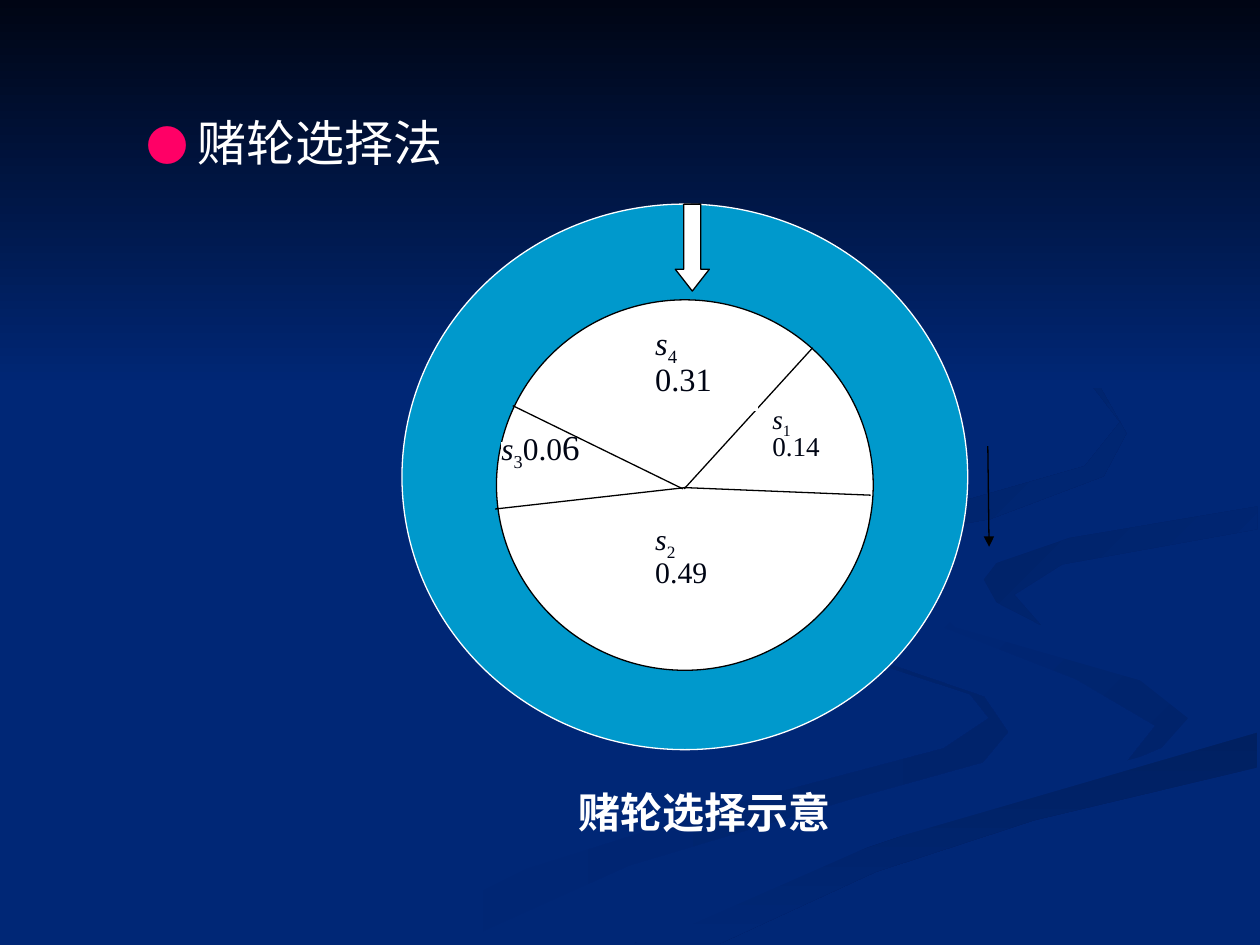
from lxml import etree
from pptx import Presentation
from pptx import util as u
from pptx.dml.color import RGBColor
from pptx.enum import shapes, text
from pptx.oxml import ns

COLORS = {
    "blue": "002776", "night": "000514", "ring": "0099CC", "white": "FFFFFF",
    "black": "000000", "pink": "FF0066", "river": "00236B", "bank": "002061",
    "bend": "002268", "stream": "002164",
}


def add_run(paragraph, content, size, color, font="Times New Roman",
            bold=False, italic=False, baseline=0):
    run = paragraph.add_run()
    run.text = content
    run.font.size = u.Pt(size)
    run.font.name = font
    run.font.bold = bold
    run.font.italic = italic
    run.font.color.rgb = RGBColor.from_string(COLORS[color])
    if baseline:
        run.font._element.set("baseline", str(baseline * 1000))


def paint(part, start, end=None, angle=0, line=None):
    part.shadow.inherit = False
    if end:
        part.fill.gradient()
        part.fill.gradient_angle = -angle % 360
        for stop, color in zip(part.fill.gradient_stops, (start, end)):
            stop.color.rgb = RGBColor.from_string(COLORS[color])
    else:
        part.fill.solid()
        part.fill.fore_color.rgb = RGBColor.from_string(COLORS[start])
    if line:
        part.line.color.rgb = RGBColor.from_string(COLORS[line])
        part.line.width = u.Pt(0.75)
    else:
        part.line.fill.background()


prs = Presentation()
prs.slide_width, prs.slide_height = u.Inches(10), u.Inches(7.5)
slide = prs.slides.add_slide(prs.slide_layouts[5])
slide.background.fill.solid()
slide.background.fill.fore_color.rgb = RGBColor.from_string(COLORS["blue"])

swirls = [
    ("blue", "river", 0, [
        (781, 553), (682, 519), (594, 485), (575, 459), (581, 483), (654, 513),
        (770, 551), (785, 570), (749, 594), (579, 639), (417, 690), (300, 749),
        (361, 749), (499, 687), (676, 634), (780, 605), (800, 581)]),
    ("blue", "river", 45, [
        (943, 570), (905, 540), (758, 498), (724, 464), (739, 494), (854, 539),
        (917, 576), (894, 605), (932, 589)]),
    ("bank", "blue", 90, [
        (503, 749), (571, 749), (695, 692), (821, 651), (998, 609), (998, 581),
        (764, 647), (630, 693)]),
    ("blue", None, 0, [
        (725, 464), (759, 498), (905, 540), (943, 570), (919, 597), (704, 655),
        (477, 749), (519, 747), (696, 669), (999, 581), (999, 538), (817, 492),
        (781, 463), (822, 434), (999, 402), (999, 387), (770, 427)]),
    ("bend", "blue", 45, [
        (781, 460), (791, 478), (826, 496), (805, 472), (843, 448), (998, 420),
        (998, 402), (849, 427), (791, 447)]),
    ("stream", "blue", 45, [
        (683, 430), (786, 412), (876, 378), (894, 344), (864, 291), (762, 233),
        (846, 279), (889, 335), (861, 370), (763, 398), (615, 429), (578, 456),
        (584, 479), (622, 500), (593, 470), (624, 444)]),
]
for start, end, angle, points in swirls:
    outline = slide.shapes.build_freeform(*points[0], scale=u.Inches(0.01))
    outline.add_line_segments(points[1:], close=True)
    paint(outline.convert_to_shape(), start, end, angle)

sky = slide.shapes.add_shape(
    shapes.MSO_SHAPE.RECTANGLE, 0, 0, u.Inches(10), u.Inches(3.08))
paint(sky, "night", "blue", 90)

wheel = [
    (shapes.MSO_SHAPE.OVAL, 3.19, 1.62, 4.49, 4.33, "ring", "white"),
    (shapes.MSO_SHAPE.OVAL, 3.94, 2.38, 2.99, 2.94, "white", "black"),
    (shapes.MSO_SHAPE.DOWN_ARROW, 5.36, 1.62, 0.27, 0.69, "white", "black"),
]
for kind, *box, fill, line in wheel:
    part = slide.shapes.add_shape(kind, *map(u.Inches, box))
    paint(part, fill, line=line)
pointer = part
pointer.adjustments[1] = 0.64

strokes = [
    (5.43, 3.88, 6.45, 2.76, False),
    (5.42, 3.88, 4.07, 3.22, False),
    (5.44, 3.87, 3.93, 4.04, False),
    (5.43, 3.87, 6.91, 3.93, False),
    (7.84, 3.54, 7.85, 4.34, True),
]
for *ends, is_spin in strokes:
    stroke = slide.shapes.add_connector(
        shapes.MSO_CONNECTOR.STRAIGHT, *map(u.Inches, ends))
    stroke.line.color.rgb = RGBColor.from_string(COLORS["black"])
    stroke.line.width = u.Pt(0.75)
    if is_spin:
        etree.SubElement(stroke.line._get_or_add_ln(), ns.qn("a:tailEnd"), type="triangle")
    etree.SubElement(stroke._element.spPr, ns.qn("a:effectLst"))

sectors = [
    (5.2, 2.57, 0.81, 0.69, 18.5, 0.9, "4", [("0.31", 18.5)]),
    (5.2, 4.14, 0.82, 0.66, 17, 0.9, "2", [("0.49", 17)]),
    (6.13, 3.22, 0.62, 0.59, 15.5, 0.8, "1", [("0.14", 15.5)]),
    (3.98, 3.51, 0.67, 0.43, 18, 0.5, "3", [("0.0", 18), ("6", 20)]),
]
for *box, size, spacing, index, share in sectors:
    sector = slide.shapes.add_shape(shapes.MSO_SHAPE.RECTANGLE, *map(u.Inches, box))
    paint(sector, "white", line="white")
    frame = sector.text_frame
    frame.margin_left = frame.margin_top = frame.margin_right = frame.margin_bottom = 0
    frame.vertical_anchor = text.MSO_ANCHOR.TOP
    symbol = frame.paragraphs[0]
    add_run(symbol, "s", size, "night", italic=True)
    add_run(symbol, index, size, "night", baseline=-25)
    value = symbol if index == "3" else frame.add_paragraph()
    for digits, digit_size in share:
        add_run(value, digits, digit_size, "night")
    for row in frame.paragraphs:
        row.alignment = text.PP_ALIGN.JUSTIFY
        row.line_spacing = spacing

caption = slide.shapes.add_textbox(*map(u.Inches, (4.06, 6.19, 3.23, 0.55)))
caption.text_frame.word_wrap = True
caption.text_frame.margin_left = u.Inches(0.53)
add_run(caption.text_frame.paragraphs[0], "赌轮选择示意", 24, "white", bold=True)

title = slide.shapes.title
title.left, title.top, title.width, title.height = map(u.Inches, (1.06, 0.84, 3.47, 0.57))
title.text_frame.auto_size = text.MSO_AUTO_SIZE.NONE
title.text_frame.vertical_anchor = text.MSO_ANCHOR.TOP
heading = title.text_frame.paragraphs[0]
heading.alignment = text.PP_ALIGN.LEFT
add_run(heading, "● ", 24, "pink", font="Arial")
add_run(heading, "赌轮选择法", 28, "white", font="Arial")
slide.shapes._spTree.append(title._element)

prs.save("out.pptx")
